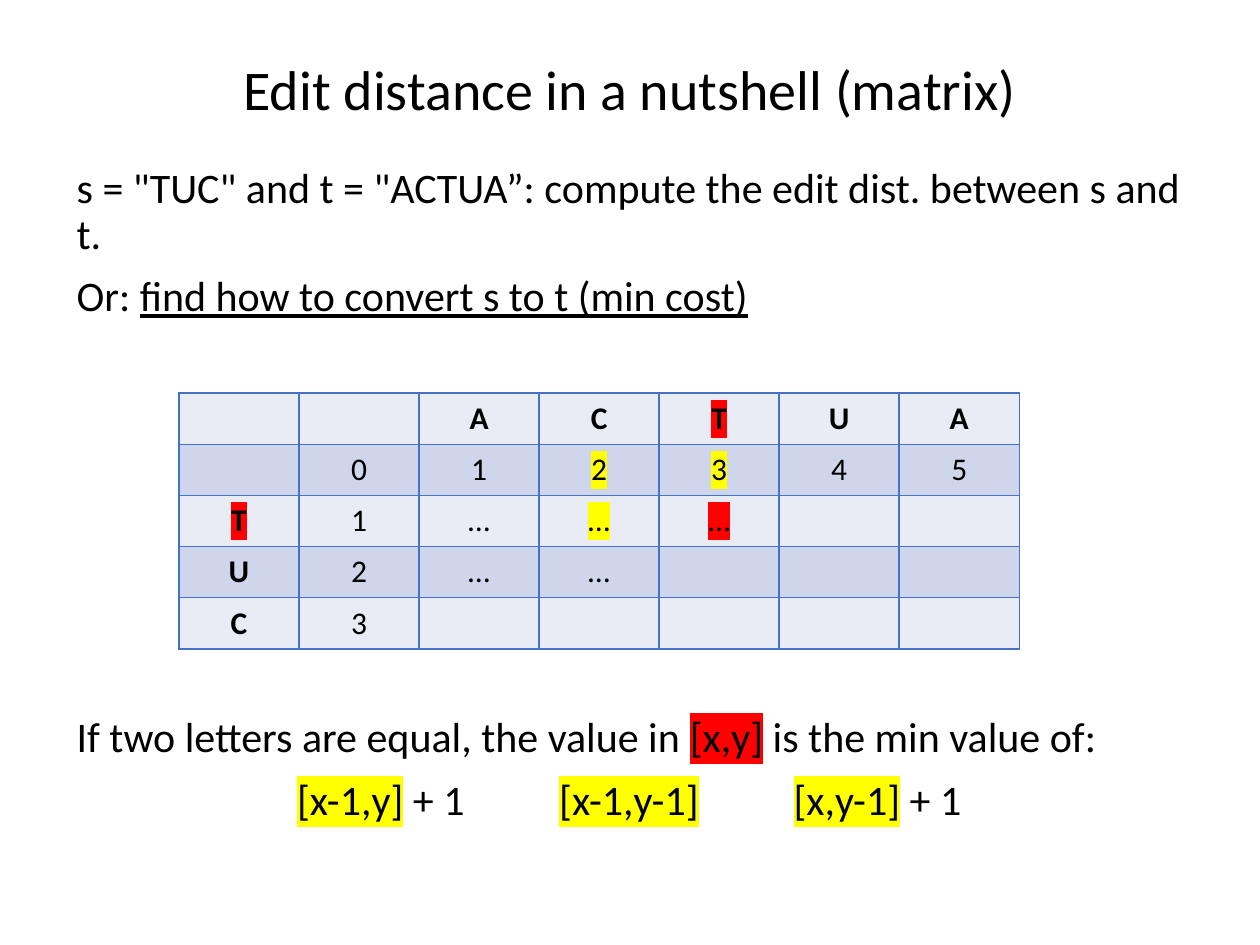
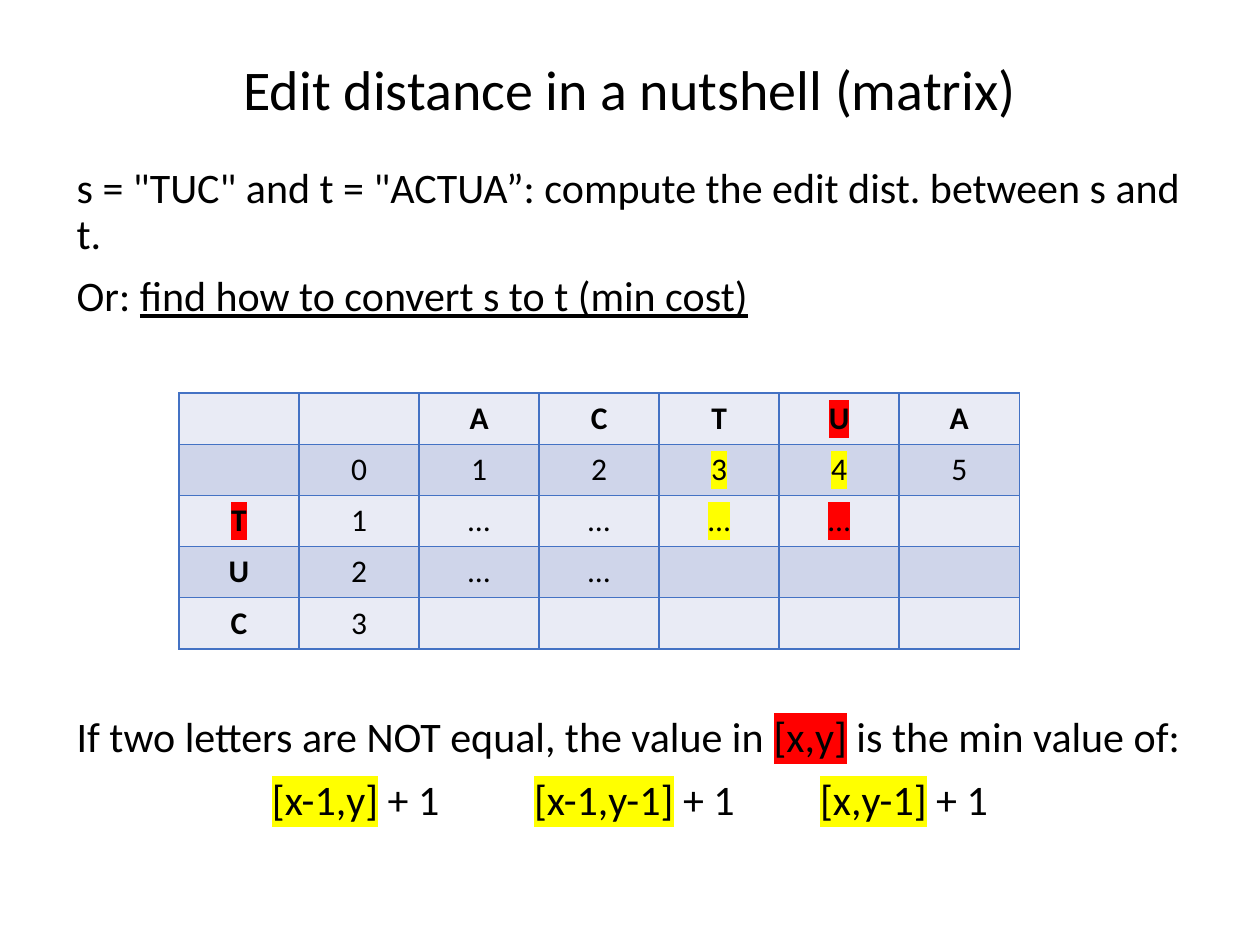
"""Build two slides that explain the edit distance matrix."""
from dataclasses import dataclass

from lxml.etree import SubElement
from pptx import Presentation
from pptx.dml.color import RGBColor
from pptx.enum.text import MSO_ANCHOR, PP_ALIGN
from pptx.oxml import parse_xml
from pptx.oxml.ns import nsdecls, qn
from pptx.slide import Slide
from pptx.table import _Cell
from pptx.text.text import TextFrame, _Paragraph, _Run
from pptx.util import Inches, Pt

FONT = "Calibri"
BLACK, RED, YELLOW = "000000", "FF0000", "FFFF00"
BORDER, BANDS = "4472C4", ("E9EBF5", "CFD5EA")
TITLE = "Edit distance in a nutshell (matrix)"
SOURCE_WORD, TARGET_WORD = "TUC", "ACTUA"
COLUMNS, ROWS = len(TARGET_WORD) + 2, len(SOURCE_WORD) + 2
TABLE_WIDTH, ROW_HEIGHT = 6.67, 0.406


@dataclass(frozen=True)
class Piece:
    text: str
    highlight: str | None = None
    underline: bool = False


@dataclass(frozen=True)
class Case:
    condition: str
    current_column: int
    diagonal_cost: str
    tab_positions: tuple[float, ...]


CASES = (
    Case("equal", 4, "", (1.75, 3.83, 5.69)),
    Case("NOT equal", 5, " + 1", (1.55, 3.63, 5.9)),
)


def color(value: str) -> RGBColor:
    return RGBColor.from_string(value)


def format_run(run: _Run, size: float, bold: bool = False, highlight: str | None = None) -> None:
    font = run.font
    font.name, font.size, font.bold = FONT, Pt(size), bold
    font.color.rgb = color(BLACK)
    if highlight:
        fill = run._r.get_or_add_rPr().find(qn("a:solidFill"))
        fill.addnext(parse_xml(
            f'<a:highlight {nsdecls("a")}><a:srgbClr val="{highlight}"/></a:highlight>'))


def add_text_frame(slide: Slide, left: float, top: float, width: float, height: float) -> TextFrame:
    text_frame = slide.shapes.add_textbox(
        Inches(left), Inches(top), Inches(width), Inches(height)).text_frame
    text_frame.word_wrap = True
    return text_frame


def add_title(slide: Slide) -> None:
    text_frame = add_text_frame(slide, 0.69, 0.4, 8.62, 0.66)
    text_frame.text = TITLE
    text_frame.vertical_anchor = MSO_ANCHOR.MIDDLE
    paragraph = text_frame.paragraphs[0]
    paragraph.alignment, paragraph.line_spacing = PP_ALIGN.CENTER, 0.9
    format_run(paragraph.runs[0], 32)


def fill_paragraph(paragraph: _Paragraph, pieces: list[Piece], space_before: float = 10) -> None:
    paragraph.line_spacing, paragraph.space_before = 0.9, Pt(space_before)
    for piece in pieces:
        run = paragraph.add_run()
        run.text = piece.text
        format_run(run, 24, highlight=piece.highlight)
        run.font.underline = piece.underline


def set_tabs(paragraph: _Paragraph, positions: tuple[float, ...]) -> None:
    tabs = SubElement(paragraph._p.get_or_add_pPr(), qn("a:tabLst"))
    for position in positions:
        SubElement(tabs, qn("a:tab"), pos=str(Inches(position)), algn="l")


def add_explanation(slide: Slide, case: Case) -> None:
    text_frame = add_text_frame(slide, 0.51, 1.28, 8.99, 5.7)
    task = f's = "{SOURCE_WORD}" and t = "{TARGET_WORD}”: compute the edit dist. between s and t.'
    fill_paragraph(text_frame.paragraphs[0], [Piece(task)])
    fill_paragraph(text_frame.add_paragraph(), [
        Piece("Or: "), Piece("find how to convert s to t (min cost)", underline=True)])
    fill_paragraph(text_frame.add_paragraph(), [
        Piece(f"If two letters are {case.condition}, the value in "),
        Piece("[x,y]", RED), Piece(" is the min value of:")], space_before=226)
    options = text_frame.add_paragraph()
    neighbours = (("[x-1,y]", " + 1"), ("[x-1,y-1]", case.diagonal_cost), ("[x,y-1]", " + 1"))
    pieces = []
    for neighbour, cost in neighbours:
        pieces += [Piece("\t"), Piece(neighbour, YELLOW)]
        if cost:
            pieces.append(Piece(cost))
    fill_paragraph(options, pieces)
    set_tabs(options, case.tab_positions)


def matrix_values(case: Case) -> list[list[str]]:
    values = [["", "", *TARGET_WORD], ["", *map(str, range(COLUMNS - 1))]]
    for number, letter in enumerate(SOURCE_WORD, start=1):
        computed = {1: case.current_column - 1, 2: 2}.get(number, 0)
        dots = ["…"] * computed
        values.append([letter, str(number), *dots, *[""] * (COLUMNS - 2 - computed)])
    return values


def format_cell(cell: _Cell, band: str) -> None:
    properties = cell._tc.get_or_add_tcPr()
    for side in ("lnL", "lnR", "lnT", "lnB"):
        line = SubElement(properties, qn(f"a:{side}"), w=str(Pt(1)))
        SubElement(SubElement(line, qn("a:solidFill")), qn("a:srgbClr"), val=BORDER)
    cell.fill.solid()
    cell.fill.fore_color.rgb = color(band)


def add_matrix(slide: Slide, case: Case) -> None:
    table = slide.shapes.add_table(
        ROWS, COLUMNS, Inches(1.42), Inches(3.12),
        Inches(TABLE_WIDTH), Inches(ROW_HEIGHT * ROWS)).table
    table.first_row = table.horz_banding = False
    current = case.current_column
    highlights = dict.fromkeys([(0, current), (2, 0), (2, current)], RED)
    highlights |= dict.fromkeys([(1, current - 1), (1, current), (2, current - 1)], YELLOW)
    for row, values in enumerate(matrix_values(case)):
        for column, value in enumerate(values):
            cell = table.cell(row, column)
            format_cell(cell, BANDS[row % 2])
            cell.text_frame.text = value
            paragraph = cell.text_frame.paragraphs[0]
            paragraph.alignment = PP_ALIGN.CENTER
            for run in paragraph.runs:
                format_run(run, 18, row == 0 or column == 0, highlights.get((row, column)))


def main() -> None:
    presentation = Presentation()
    presentation.slide_width, presentation.slide_height = Inches(10), Inches(7.5)
    for case in CASES:
        slide = presentation.slides.add_slide(presentation.slide_layouts[6])
        add_title(slide)
        add_explanation(slide, case)
        add_matrix(slide, case)
    presentation.save("out.pptx")


main()
